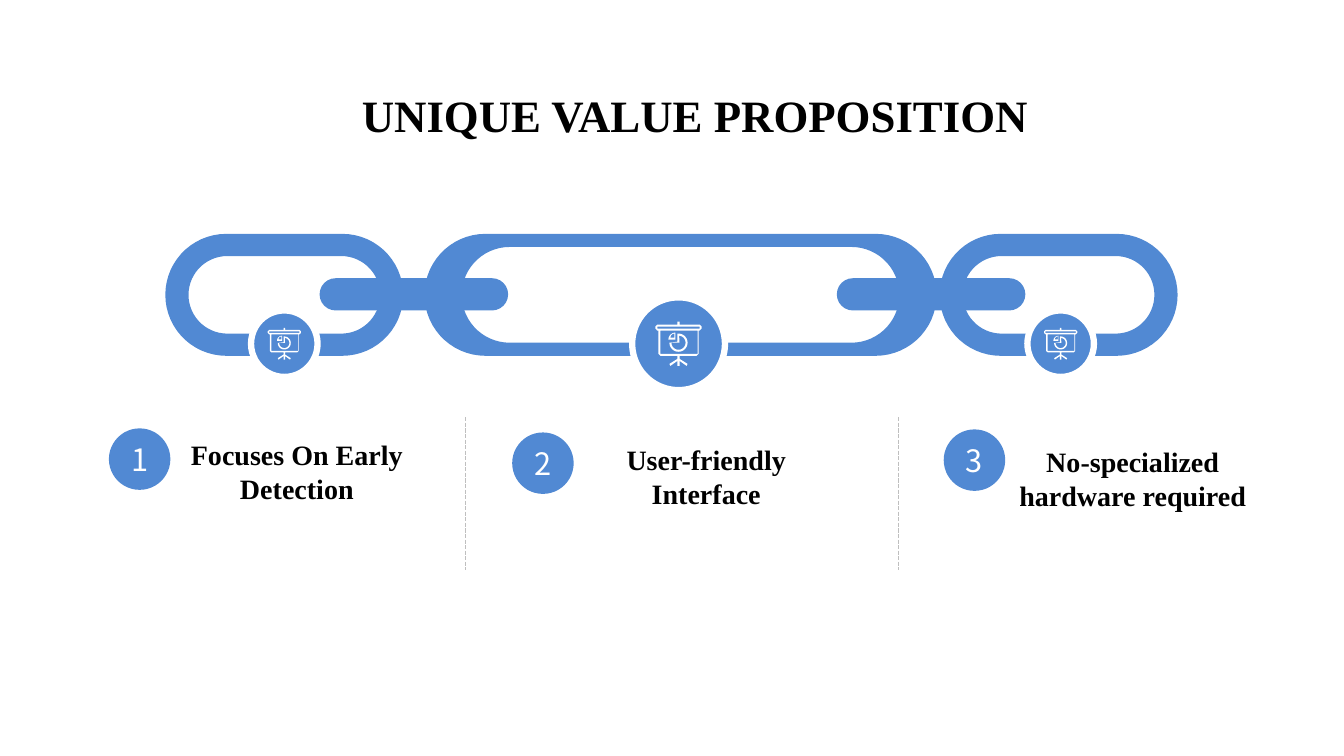
"""Build the value proposition slide with a three-link chain."""
from dataclasses import dataclass
from math import cos, radians, sin

from lxml.etree import SubElement
from pptx import Presentation
from pptx.dml.color import RGBColor
from pptx.enum.dml import MSO_LINE
from pptx.enum.shapes import MSO_CONNECTOR, MSO_SHAPE as SHAPE
from pptx.enum.text import MSO_ANCHOR as ANCHOR, PP_ALIGN as ALIGN
from pptx.oxml.ns import qn
from pptx.shapes.autoshape import Shape
from pptx.slide import Slide
from pptx.text.text import TextFrame
from pptx.util import Inches, Pt

BLUE = RGBColor(0x51, 0x89, 0xD3)
WHITE = RGBColor(0xFF, 0xFF, 0xFF)
BLACK = RGBColor(0, 0, 0)
GREY = RGBColor(0xBF, 0xBF, 0xBF)
SERIF = "Times New Roman"
SANS = "Noto Sans CJK SC"
ICON_W = 0.46
Contour = list[tuple[float, float]]


@dataclass(frozen=True)
class Box:
    x: float
    y: float
    w: float
    h: float

    def inches(self) -> tuple[Inches, Inches, Inches, Inches]:
        return Inches(self.x), Inches(self.y), Inches(self.w), Inches(self.h)

    def inset(self, dx: float, dy: float) -> "Box":
        return Box(self.x + dx, self.y + dy, self.w - 2 * dx, self.h - 2 * dy)


@dataclass(frozen=True)
class Link:
    box: Box
    side: float
    edge: float


@dataclass(frozen=True)
class Badge:
    cx: float
    size: float
    icon_w: float


@dataclass(frozen=True)
class Point:
    number: str
    circle_x: float
    circle_y: float
    text: str
    box: Box


LINKS = [
    Link(Box(1.64, 2.32, 2.36, 1.21), 0.23, 0.22),
    Link(Box(4.21, 2.32, 5.08, 1.21), 0.37, 0.13),
    Link(Box(9.32, 2.32, 2.36, 1.21), 0.23, 0.22),
]
BARS = [Box(x, 2.76, 1.87, 0.32) for x in (3.17, 8.3)]
BADGES = [Badge(2.82, 0.66, 0.33), Badge(6.73, 0.92, 0.46), Badge(10.52, 0.66, 0.33)]
BADGE_CY = 3.41
DIVIDERS = [4.62, 8.91]
POINTS = [
    Point("1", 1.08, 4.25, "Focuses On Early Detection", Box(1.78, 4.29, 2.33, 0.35)),
    Point("2", 5.08, 4.29, "User-friendly Interface", Box(5.84, 4.34, 2.33, 0.82)),
    Point("3", 9.36, 4.26, "No-specialized hardware required", Box(9.82, 4.36, 2.83, 0.9)),
]


def arc(cx: float, cy: float, r: float, start: int, end: int) -> Contour:
    angles = [radians(start + (end - start) * i / 30) for i in range(31)]
    return [(cx + r * cos(a), cy + r * sin(a)) for a in angles]


def stadium(b: Box) -> Contour:
    r = b.h / 2
    return arc(b.x + r, b.y + r, r, 90, 270) + arc(b.x + b.w - r, b.y + r, r, -90, 90)


def rect(b: Box) -> Contour:
    return [(b.x, b.y), (b.x + b.w, b.y), (b.x + b.w, b.y + b.h), (b.x, b.y + b.h)]


def board_icon() -> list[Contour]:
    half = [(0.01, 0), (0.01, 0.03), (0.21, 0.03), (0.23, 0.05), (0.23, 0.07),
            (0.21, 0.09), (0.2, 0.09), (0.2, 0.32), (0.18, 0.34), (0.01, 0.34),
            (0.01, 0.37), (0.09, 0.42), (0.08, 0.44), (0.01, 0.39), (0.01, 0.44)]
    return [
        half + [(-x, y) for x, y in reversed(half)],
        rect(Box(-0.21, 0.05, 0.42, 0.02)),
        rect(Box(-0.18, 0.09, 0.37, 0.23)),
        arc(0, 0.21, 0.09, -90, 180) + [(-0.01, 0.2), (-0.01, 0.12)],
        arc(0, 0.21, 0.07, -85, 180) + [(0.01, 0.21)],
        arc(-0.03, 0.18, 0.07, 180, 270) + [(-0.03, 0.18)],
        arc(-0.04, 0.16, 0.04, 180, 270) + [(-0.04, 0.16)],
    ]


def paint(sp: Shape, color: RGBColor) -> None:
    sp.shadow.inherit = False
    sp.fill.solid()
    sp.fill.fore_color.rgb = color
    sp.line.fill.background()


def add_outline(s: Slide, contours: list[Contour], color: RGBColor) -> None:
    paths = [[(Inches(x), Inches(y)) for x, y in c] for c in contours]
    builder = s.shapes.build_freeform(*paths[0][0])
    for i, pts in enumerate(paths):
        if i:
            builder.move_to(*pts[0])
        builder.add_line_segments(pts[1:], close=True)
    paint(builder.convert_to_shape(), color)


def add_preset(s: Slide, kind: SHAPE, box: Box) -> Shape:
    sp = s.shapes.add_shape(kind, *box.inches())
    paint(sp, BLUE)
    return sp


def write(tf: TextFrame, text: str, size: int, font: str, color: RGBColor,
          align: ALIGN, bold: bool) -> None:
    tf.word_wrap = True
    p = tf.paragraphs[0]
    p.text = text
    p.alignment = align
    f = p.runs[0].font
    f.name, f.size, f.bold = font, Pt(size), bold
    f.color.rgb = color


def add_label(s: Slide, box: Box, text: str, size: int, align: ALIGN) -> None:
    tf = s.shapes.add_textbox(*box.inches()).text_frame
    write(tf, text, size, SERIF, BLACK, align, True)


def add_divider(s: Slide, x: float) -> None:
    c = s.shapes.add_connector(MSO_CONNECTOR.STRAIGHT, Inches(x), Inches(4.14),
                               Inches(x), Inches(5.65))
    c.line.color.rgb = GREY
    c.line.width = Pt(1)
    c.line.dash_style = MSO_LINE.SQUARE_DOT
    SubElement(c.element.spPr, qn("a:effectLst"))


def add_badge(s: Slide, b: Badge) -> None:
    r = b.size / 2
    sp = add_preset(s, SHAPE.OVAL, Box(b.cx - r, BADGE_CY - r, b.size, b.size))
    sp.line.color.rgb = WHITE
    sp.line.width = Pt(4.5)
    k = b.icon_w / ICON_W
    icon = [[(b.cx + k * x, BADGE_CY + k * (y - 0.22)) for x, y in c] for c in board_icon()]
    add_outline(s, icon, WHITE)


def add_point(s: Slide, pt: Point) -> None:
    sp = add_preset(s, SHAPE.OVAL, Box(pt.circle_x, pt.circle_y, 0.61, 0.61))
    tf = sp.text_frame
    tf.margin_left = tf.margin_right = tf.margin_top = tf.margin_bottom = 0
    tf.vertical_anchor = ANCHOR.MIDDLE
    write(tf, pt.number, 22, SANS, WHITE, ALIGN.CENTER, False)
    add_label(s, pt.box, pt.text, 20, ALIGN.CENTER)


def main() -> None:
    prs = Presentation()
    prs.slide_width, prs.slide_height = Inches(13.33), Inches(7.5)
    s = prs.slides.add_slide(prs.slide_layouts[6])
    for x in DIVIDERS:
        add_divider(s, x)
    for link in LINKS:
        hole = link.box.inset(link.side, link.edge)
        add_outline(s, [stadium(link.box), stadium(hole)[::-1]], BLUE)
    for bar in BARS:
        add_preset(s, SHAPE.ROUNDED_RECTANGLE, bar).adjustments[0] = 0.5
    for badge in BADGES:
        add_badge(s, badge)
    add_label(s, Box(3.49, 0.82, 6.99, 0.64), "UNIQUE VALUE PROPOSITION", 32, ALIGN.LEFT)
    for pt in POINTS:
        add_point(s, pt)
    prs.save("out.pptx")


if __name__ == "__main__":
    main()
